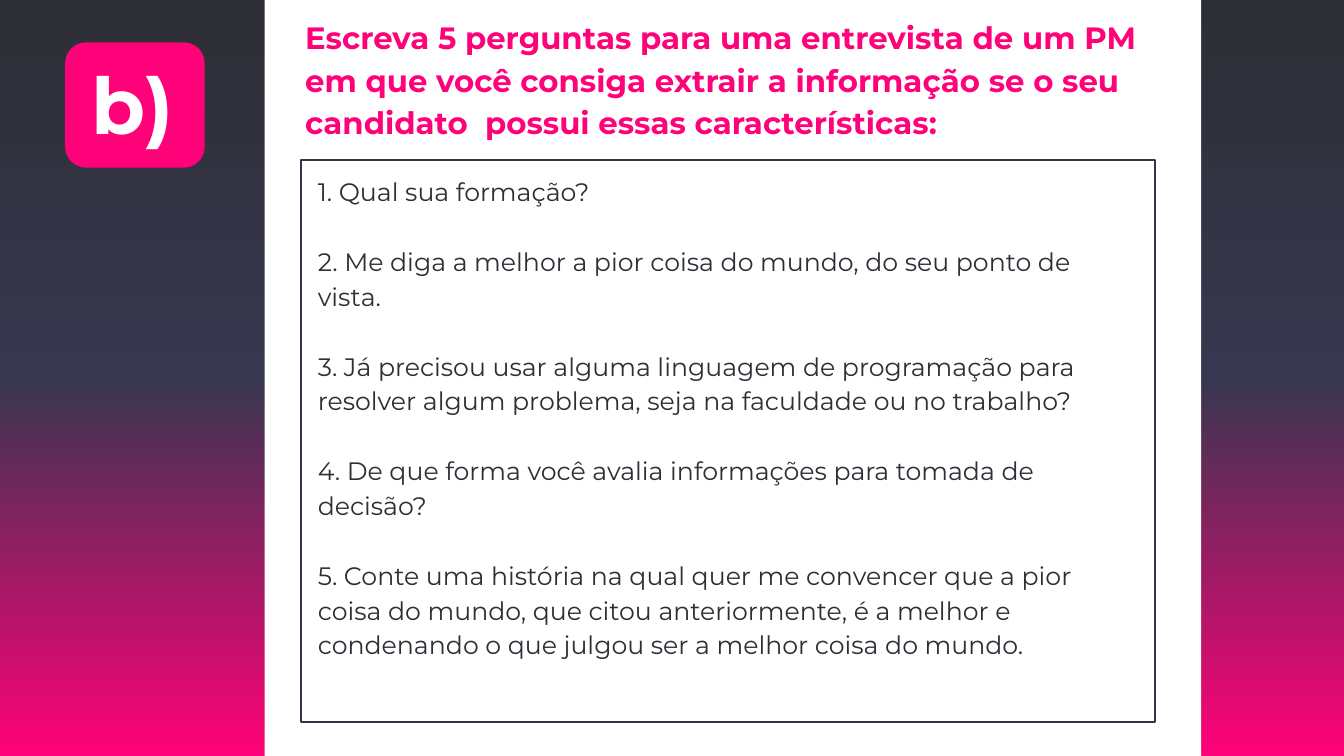
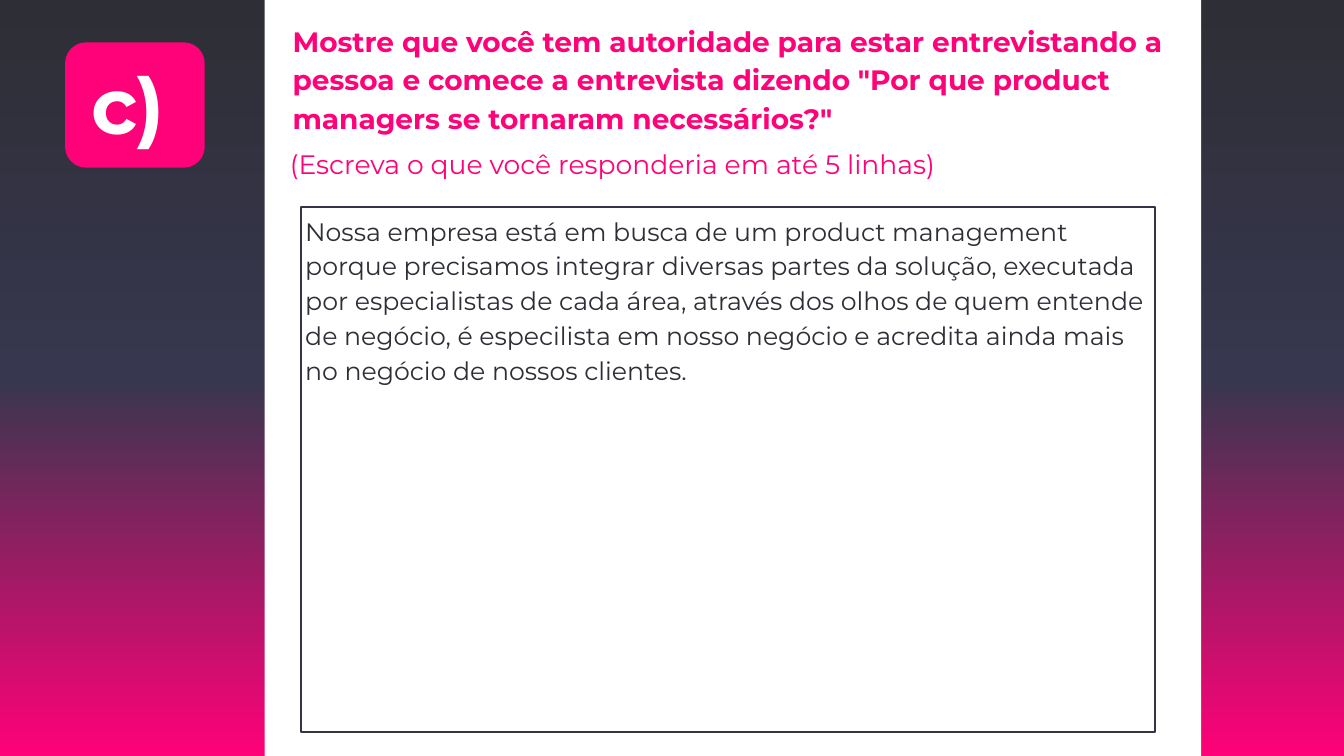
from copy import deepcopy

from pptx import Presentation
from pptx.dml.color import RGBColor
from pptx.enum.shapes import MSO_SHAPE
from pptx.enum.text import MSO_ANCHOR, MSO_AUTO_SIZE, PP_ALIGN
from pptx.oxml import parse_xml
from pptx.oxml.ns import nsdecls, qn
from pptx.util import Pt

RECTANGLE, ROUNDED = MSO_SHAPE.RECTANGLE, MSO_SHAPE.ROUNDED_RECTANGLE
TOP, BOTTOM = MSO_ANCHOR.TOP, MSO_ANCHOR.BOTTOM
LEFT = PP_ALIGN.LEFT
NO_AUTOFIT = MSO_AUTO_SIZE.NONE

PINK = RGBColor(0xFF, 0x01, 0x78)
WHITE = RGBColor(0xFF, 0xFF, 0xFF)
CHARCOAL = RGBColor(0x2E, 0x2E, 0x36)
SLATE = RGBColor(0x37, 0x37, 0x4F)
FRAME_LINE = RGBColor(0x34, 0x34, 0x48)

FONT = "Montserrat"
SLIDE_WIDTH, SLIDE_HEIGHT = 1920, 1080
TITLE_AND_CONTENT = 1
LINE_HEIGHT = 50

QUESTIONS = [
    "1. Qual sua formação?",
    "2. Me diga a melhor a pior coisa do mundo, do seu ponto de vista.",
    "3. Já precisou usar alguma linguagem de programação para resolver "
    "algum problema, seja na faculdade ou no trabalho?",
    "4. De que forma você avalia informações para tomada de decisão?",
    "5. Conte uma história na qual quer me convencer que a pior coisa do "
    "mundo, que citou anteriormente, é a melhor e condenando o que julgou "
    "ser a melhor coisa do mundo.",
]
ANSWER = [
    "Nossa empresa está em busca de um product management porque precisamos "
    "integrar diversas partes da solução, executada por especialistas de cada "
    "área, através dos olhos de quem entende de negócio, é especilista em "
    "nosso negócio e acredita ainda mais no negócio de nossos clientes.",
]


def place(shape, box):
    shape.left, shape.top, shape.width, shape.height = map(Pt, box)


def write(shape, paragraphs, *, size, color, bold=False, spacing=1.15,
          gap=0, anchor=TOP, insets=(6, 6)):
    """Fill a text shape with evenly formatted, unbulleted paragraphs."""
    frame = shape.text_frame
    frame.word_wrap = True
    frame.auto_size = NO_AUTOFIT
    frame.vertical_anchor = anchor
    frame.margin_left = frame.margin_right = Pt(insets[0])
    frame.margin_top = frame.margin_bottom = Pt(insets[1])
    frame.text = "\n".join(paragraphs)
    for paragraph in frame.paragraphs:
        paragraph.alignment = LEFT
        paragraph.line_spacing = spacing
        paragraph.space_before = Pt(0)
        paragraph.space_after = Pt(gap)
        properties = paragraph._p.get_or_add_pPr()
        properties.set("marL", "0")
        properties.set("indent", "0")
        properties.append(parse_xml(f"<a:buNone {nsdecls('a')}/>"))
        for run in paragraph.runs:
            run.font.name = FONT
            run.font.size = Pt(size)
            run.font.bold = bold
            run.font.color.rgb = color


def add_block(slide, kind, box, fill=None, line=None):
    block = slide.shapes.add_shape(kind, *map(Pt, box))
    block.shadow.inherit = False
    if fill is None:
        block.fill.background()
    else:
        block.fill.solid()
        block.fill.fore_color.rgb = fill
    if line is None:
        block.line.fill.background()
    else:
        block.line.color.rgb = line
        block.line.width = Pt(3)
    return block


def add_label(slide, text, box, **text_format):
    label = slide.shapes.add_textbox(*map(Pt, box))
    write(label, [text], **text_format)


def fill_placeholder(placeholder, paragraphs, box, **text_format):
    """Place a template placeholder in front of the blocks drawn so far."""
    element = placeholder.element
    element.getparent().append(element)
    place(placeholder, box)
    write(placeholder, paragraphs, **text_format)


def set_gradient_background(master):
    fill = master.background.fill
    fill.gradient()
    fill.gradient_angle = 270  # dark at the top, pink at the bottom
    stop_list = master.element.cSld.find(".//" + qn("a:gsLst"))
    stop_list.insert(1, deepcopy(stop_list[0]))
    colors = (CHARCOAL, SLATE, PINK)
    for stop, position, color in zip(fill.gradient_stops, (0, 0.5, 1), colors):
        stop.position = position
        stop.color.rgb = color


def add_exercise(deck, letter, title, title_box, title_size,
                 frame_box, answers, answer_box):
    slide = deck.slides.add_slide(deck.slide_layouts[TITLE_AND_CONTENT])
    title_holder, answer_holder = slide.placeholders

    # White panel with its left margin strip
    add_block(slide, RECTANGLE, (469, 0, 1247, SLIDE_HEIGHT), fill=WHITE)
    add_block(slide, RECTANGLE, (378, 0, 95, SLIDE_HEIGHT), fill=WHITE)

    # Title
    fill_placeholder(title_holder, [title], title_box,
                     size=title_size, color=PINK, bold=True)

    # Letter badge
    add_block(slide, ROUNDED, (93, 60.5, 199.5, 179), fill=PINK)
    add_label(slide, letter, (125, 100, 144, 120), size=112, color=WHITE,
              bold=True, spacing=0.8, anchor=BOTTOM)

    # Framed answers
    add_block(slide, RECTANGLE, frame_box, line=FRAME_LINE)
    fill_placeholder(answer_holder, answers, answer_box,
                     size=36, color=CHARCOAL, gap=LINE_HEIGHT)
    return slide


def main():
    deck = Presentation()
    deck.slide_width, deck.slide_height = Pt(SLIDE_WIDTH), Pt(SLIDE_HEIGHT)
    set_gradient_background(deck.slide_master)

    # Interview questions
    add_exercise(
        deck, "b)",
        "Escreva 5 perguntas para uma entrevista de um PM em que você consiga "
        "extrair a informação se o seu candidato  possui essas "
        "características:",
        (430, 13, 1286, 139), 44,
        (430, 228, 1220, 804), QUESTIONS, (448, 240, 1176.5, 793))

    # Opening of the interview
    answer_box = (430, 296, 1220, 749.5)
    opening = add_exercise(
        deck, "c)",
        "Mostre que você tem autoridade para estar entrevistando a pessoa e "
        'comece a entrevista dizendo "Por que product managers se tornaram '
        'necessários?"',
        (412, 21.5, 1304, 139), 40,
        answer_box, ANSWER, answer_box)
    add_label(opening, "(Escreva o que você responderia em até 5 linhas)",
              (407, 201.5, 950, 56), size=38, color=PINK, insets=(7.2, 3.6))

    deck.save("out.pptx")


if __name__ == "__main__":
    main()
